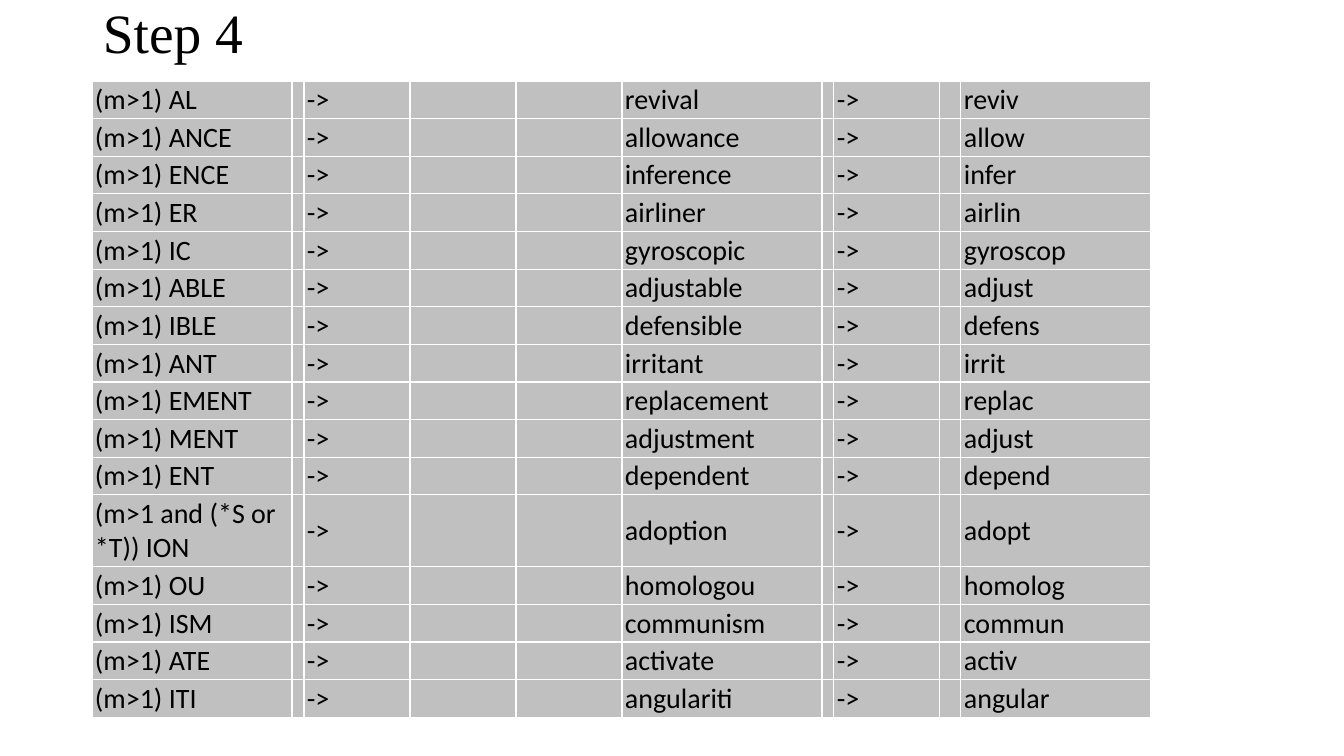
from pptx import Presentation
from pptx.dml.color import RGBColor as RGB
from pptx.enum.text import MSO_ANCHOR as ANCHOR
from pptx.util import Emu, Pt

EMU_PER_PX = 914400 / 100.8
COLORS = {"text": "000000", "cell": "C0C0C0"}

# Suffix rule, example word, stem
RULES = [
    ("(m>1) AL", "revival", "reviv"),
    ("(m>1) ANCE", "allowance", "allow"),
    ("(m>1) ENCE", "inference", "infer"),
    ("(m>1) ER", "airliner", "airlin"),
    ("(m>1) IC", "gyroscopic", "gyroscop"),
    ("(m>1) ABLE", "adjustable", "adjust"),
    ("(m>1) IBLE", "defensible", "defens"),
    ("(m>1) ANT", "irritant", "irrit"),
    ("(m>1) EMENT", "replacement", "replac"),
    ("(m>1) MENT", "adjustment", "adjust"),
    ("(m>1) ENT", "dependent", "depend"),
    ("(m>1 and (*S or *T)) ION", "adoption", "adopt"),
    ("(m>1) OU", "homologou", "homolog"),
    ("(m>1) ISM", "communism", "commun"),
    ("(m>1) ATE", "activate", "activ"),
    ("(m>1) ITI", "angulariti", "angular"),
]
COL_WIDTHS = [200, 12, 106, 106, 106, 200, 12, 106, 21, 190]
ROW_HEIGHT, TALL_ROW_HEIGHT = 37, 72
ONE_LINE_CHARS = 16


def px(n):
    return Emu(round(n * EMU_PER_PX))


def write(tf, text, font="Calibri", size=20, color="text", spacing=None):
    p = tf.paragraphs[0]
    p.line_spacing = spacing
    r = p.add_run()
    r.text = text
    r.font.name = font
    r.font.size = Pt(size)
    r.font.color.rgb = RGB.from_string(COLORS[color])


def add_title(slide, text, x, y, w, h):
    tf = slide.shapes.add_textbox(px(x), px(y), px(w), px(h)).text_frame
    tf.word_wrap = True
    tf.vertical_anchor = ANCHOR.MIDDLE
    write(tf, text, font="Times New Roman", size=39.6, spacing=0.9)


def fill_cell(cell, text):
    cell.fill.solid()
    cell.fill.fore_color.rgb = RGB.from_string(COLORS["cell"])
    cell.vertical_anchor = ANCHOR.MIDDLE
    cell.margin_left = cell.margin_right = px(3)
    cell.margin_top = cell.margin_bottom = px(2)
    if text:
        write(cell.text_frame, text)


def add_rule_table(slide, x, y):
    heights = [TALL_ROW_HEIGHT if len(rule) > ONE_LINE_CHARS else ROW_HEIGHT
               for rule, _, _ in RULES]
    table = slide.shapes.add_table(
        len(RULES), len(COL_WIDTHS), px(x), px(y),
        px(sum(COL_WIDTHS)), px(sum(heights))).table
    table.first_row = table.horz_banding = False
    for column, width in zip(table.columns, COL_WIDTHS):
        column.width = px(width)
    for row, height, (rule, word, stem) in zip(table.rows, heights, RULES):
        row.height = px(height)
        texts = {0: rule, 2: "->", 5: word, 7: "->", 9: stem}
        for i, cell in enumerate(row.cells):
            fill_cell(cell, texts.get(i))


def main():
    prs = Presentation()
    prs.slide_width, prs.slide_height = px(1344), px(756)
    slide = prs.slides.add_slide(prs.slide_layouts[6])

    # Heading
    add_title(slide, "Step 4", 93, 10, 1159, 51)

    # Suffix rules with examples
    add_rule_table(slide, 92, 81)

    prs.save("out.pptx")


main()
